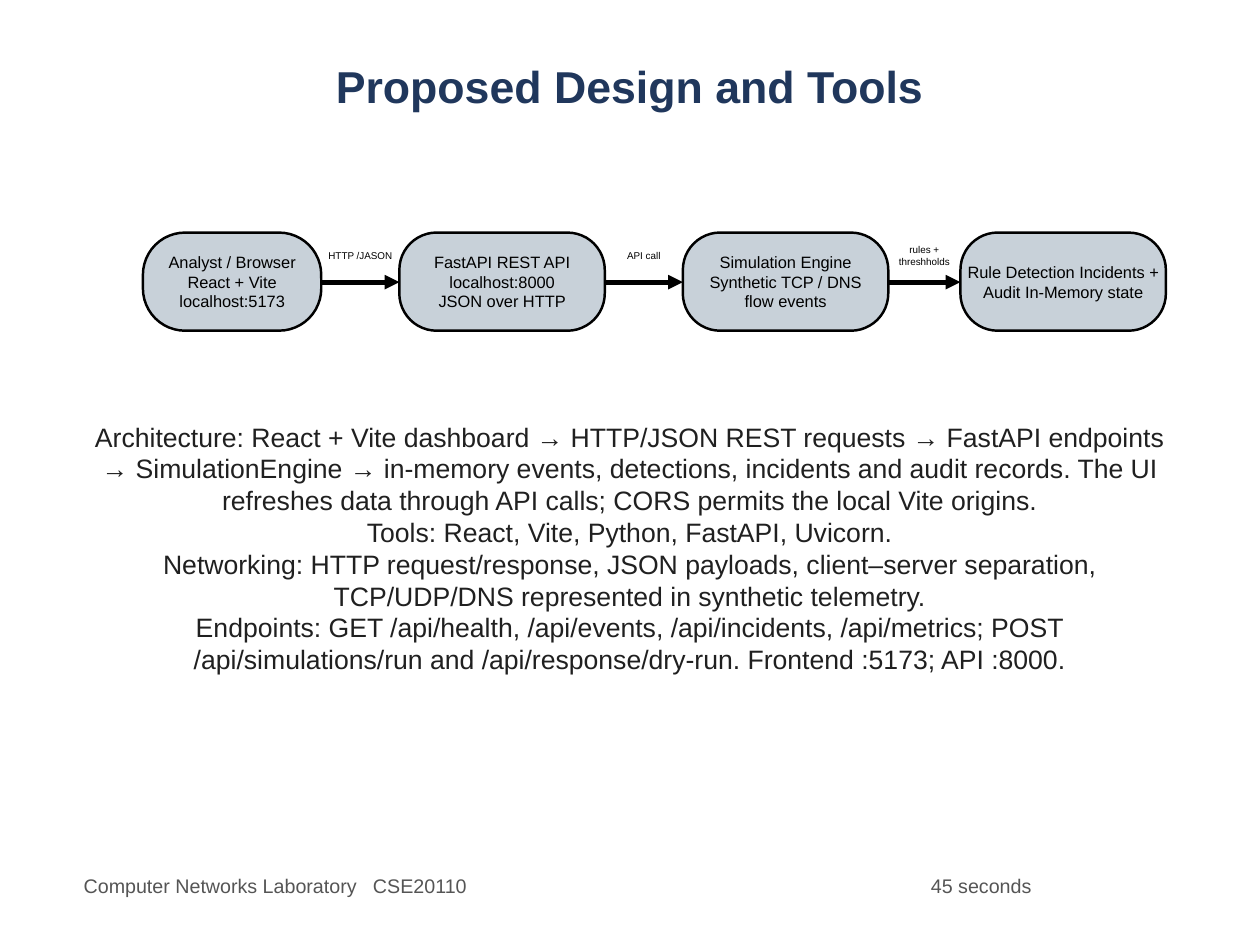
from lxml import etree
from pptx import Presentation
from pptx.dml.color import RGBColor
from pptx.enum.shapes import MSO_CONNECTOR, MSO_SHAPE
from pptx.enum.text import MSO_ANCHOR, PP_ALIGN
from pptx.oxml.ns import qn
from pptx.util import Pt

LEFT, CENTER = PP_ALIGN.LEFT, PP_ALIGN.CENTER
TOP, MIDDLE = MSO_ANCHOR.TOP, MSO_ANCHOR.MIDDLE
ROUNDED = MSO_SHAPE.ROUNDED_RECTANGLE
STRAIGHT = MSO_CONNECTOR.STRAIGHT

NODE_TOP, NODE_HEIGHT = 141.8, 59.8
FLOW_Y = 172
MARGIN, CONTENT_WIDTH = 51, 665.5

NODES = [
    (87.1, 108.7, 0.43, ["Analyst / Browser React + Vite localhost:5173"]),
    (243.4, 125.2, 0.38,
     ["FastAPI REST API", "localhost:8000", "JSON over HTTP"]),
    (416.2, 125.2, 0.38,
     ["Simulation Engine Synthetic TCP / DNS", "flow events"]),
    (585.4, 125.2, 0.38, ["Rule Detection Incidents + Audit In-Memory state"]),
]
FLOW_LABELS = [
    (152.2, ["HTTP /JASON"]),
    (152.2, ["API call"]),
    (148.5, ["rules +", "threshholds"]),
]
DETAILS = [
    "Architecture: React + Vite dashboard → HTTP/JSON REST requests → FastAPI "
    "endpoints → SimulationEngine → in-memory events, detections, incidents "
    "and audit records. The UI refreshes data through API calls; CORS permits "
    "the local Vite origins.",
    "Tools: React, Vite, Python, FastAPI, Uvicorn.",
    "Networking: HTTP request/response, JSON payloads, client–server "
    "separation, TCP/UDP/DNS represented in synthetic telemetry.",
    "Endpoints: GET /api/health, /api/events, /api/incidents, /api/metrics; "
    "POST /api/simulations/run and /api/response/dry-run. Frontend :5173; "
    "API :8000.",
]


def color(value):
    """Return the colour for a hex string."""
    return RGBColor.from_string(value)


def apply(target, values):
    """Set each attribute in values on the target."""
    for name, value in values.items():
        setattr(target, name, value)


def add_text(shapes, box, lines, size, spacing, text_color="000000",
             align=CENTER, anchor=TOP, inset=0, bold=False):
    """Add a wrapped text box with one paragraph per line."""
    frame = shapes.add_textbox(*map(Pt, box)).text_frame
    margins = ("margin_left", "margin_top", "margin_right", "margin_bottom")
    apply(frame, {"word_wrap": True, "vertical_anchor": anchor,
                  **dict.fromkeys(margins, Pt(inset))})
    frame.text = "\n".join(lines)
    for paragraph in frame.paragraphs:
        apply(paragraph, {"alignment": align, "line_spacing": Pt(spacing)})
        apply(paragraph.font, {"name": "Arial", "size": Pt(size), "bold": bold})
        paragraph.font.color.rgb = color(text_color)


def add_node(slide, left, width, rounding, lines):
    """Add a grouped rounded box and its label."""
    group = slide.shapes.add_group_shape()
    box = (left, NODE_TOP, width, NODE_HEIGHT)
    shape = group.shapes.add_shape(ROUNDED, *map(Pt, box))
    shape.adjustments[0] = rounding
    shape.shadow.inherit = False
    shape.fill.solid()
    shape.fill.fore_color.rgb = color("C8D1D9")
    shape.line.color.rgb = color("000000")
    shape.line.width = Pt(1.5)
    add_text(group.shapes, box, lines, 10, 12, anchor=MIDDLE, inset=4.3)


def add_arrow(slide, start, end):
    """Add a horizontal arrow between two nodes."""
    points = map(Pt, (start, FLOW_Y, end, FLOW_Y))
    connector = slide.shapes.add_connector(STRAIGHT, *points)
    connector.line.color.rgb = color("000000")
    connector.line.width = Pt(3)
    line = connector.line._get_or_add_ln()
    etree.SubElement(line, qn("a:tailEnd"), type="triangle")
    etree.SubElement(connector._element.spPr, qn("a:effectLst"))


def add_flow(slide):
    """Add the nodes with labelled arrows in the gaps between them."""
    for node in NODES:
        add_node(slide, *node)
    for node, following, (top, lines) in zip(NODES, NODES[1:], FLOW_LABELS):
        start, end = node[0] + node[1], following[0]
        add_arrow(slide, start, end)
        box = (start, top, end - start, 7.2 * len(lines))
        add_text(slide.shapes, box, lines, 6, 7.2)


def main():
    """Build and save the slide."""
    presentation = Presentation()
    apply(presentation, {"slide_width": Pt(768), "slide_height": Pt(576)})
    slide = presentation.slides.add_slide(presentation.slide_layouts[6])
    shapes = slide.shapes
    add_text(shapes, (MARGIN, 36, CONTENT_WIDTH, 50.4),
             ["Proposed Design and Tools"], 27.2, 32.6, "20375C", bold=True)
    add_flow(slide)
    add_text(shapes, (MARGIN, 256.3, CONTENT_WIDTH, 170), DETAILS,
             16.2, 19.4, "202020")
    for left, width, text in [(MARGIN, 483, "Computer Networks Laboratory   CSE20110"),
                              (567.4, 145.4, "45 seconds")]:
        add_text(shapes, (left, 532.8, width, 14.4), [text], 12, 14.4,
                 "555555", LEFT)
    presentation.save("out.pptx")


if __name__ == "__main__":
    main()
